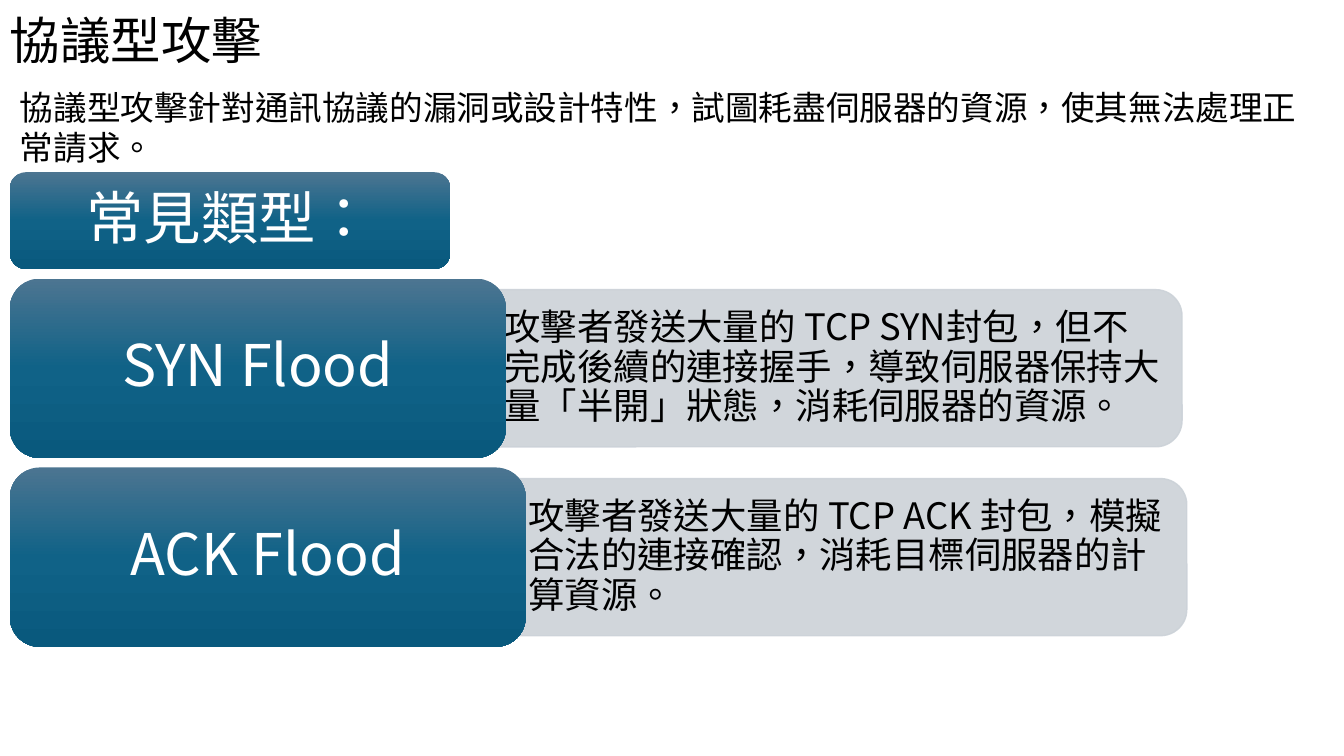
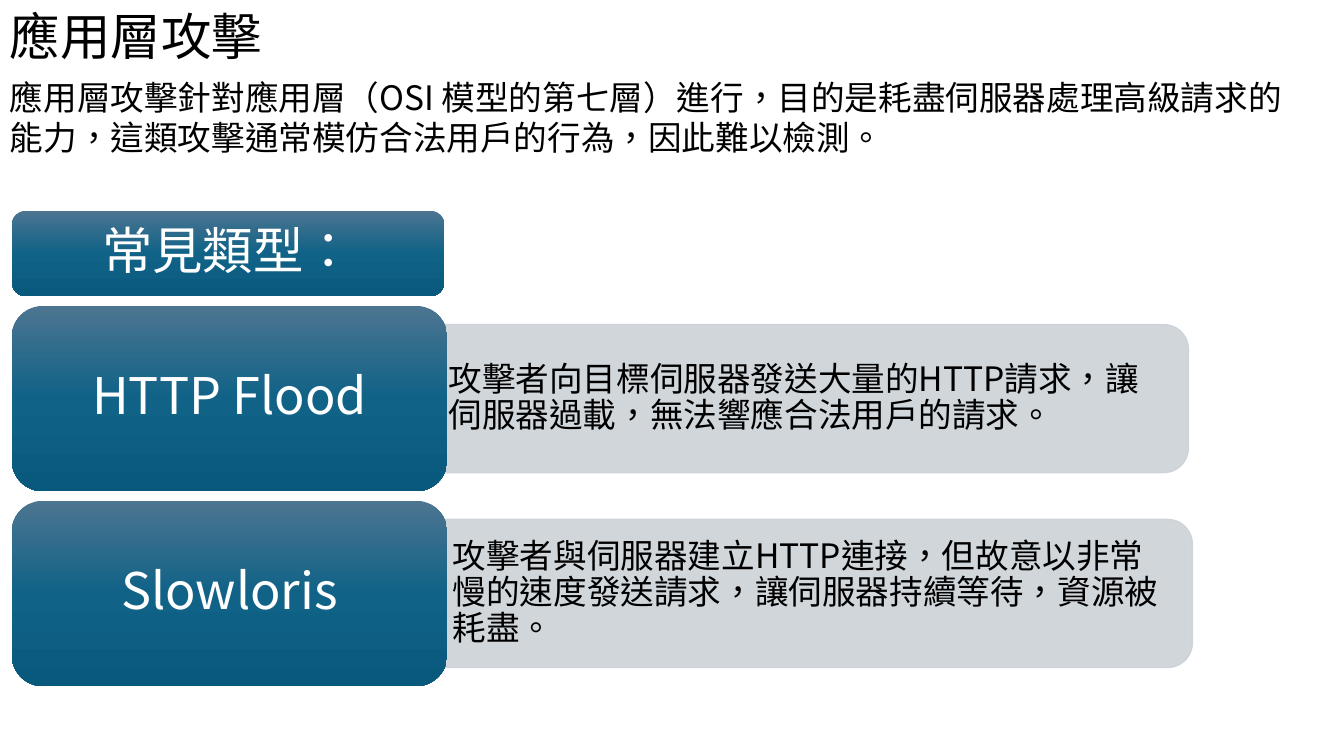
from copy import deepcopy

from lxml import etree
from pptx import Presentation
from pptx import util as u
from pptx.dml import color
from pptx.enum import lang, shapes, text
from pptx.oxml import ns

COLOURS = {
    "ink": "000000",
    "paper": "FFFFFF",
    "panel": "CCD2D8",
    "tile_top": "4C7591",
    "tile_middle": "106287",
    "tile_bottom": "09597D",
}
TILE_STOPS = [(0, "tile_top"), (0.5, "tile_middle"), (1, "tile_bottom")]
CJK_FONT = "Noto Sans CJK SC"

SLIDES = [
    {
        "title": ("協議型攻擊", (0, 0.1, 29.2, 2)),
        "intro": (
            "協議型攻擊針對通訊協議的漏洞或設計特性，試圖耗盡伺服器的資源，使其無法處理正常請求。",
            (0.25, 2.06, 33.35, 2.31),
        ),
        "left": 0.25,
        "top": 4.34,
        "heading": (11.1, 2.44, CJK_FONT),
        "tile_height": 4.52,
        "panel_height": 3.96,
        "tile_size": 41,
        "panel_size": 26,
        "rows": [
            ("SYN Flood", 12.5, 11.81, 29.79,
             "攻擊者發送大量的 TCP SYN封包，但不完成後續的連接握手，導致伺服器保持大量「半開」狀態，消耗伺服器的資源。"),
            ("ACK Flood", 13, 12.41, 29.91,
             "攻擊者發送大量的 TCP ACK 封包，模擬合法的連接確認，消耗目標伺服器的計算資源。"),
        ],
    },
    {
        "title": ("應用層攻擊", (0, 0, 29.2, 1.8)),
        "intro": (
            "應用層攻擊針對應用層（OSI 模型的第七層）進行，目的是耗盡伺服器處理高級請求的能力，這類攻擊通常模仿合法用戶的行為，因此難以檢測。",
            (0, 1.8, 33.38, 2.31),
        ),
        "left": 0.3,
        "top": 5.31,
        "heading": (10.9, 2.16, "Lato"),
        "tile_height": 4.67,
        "panel_height": 3.73,
        "tile_size": 36,
        "panel_size": 24,
        "rows": [
            ("HTTP Flood", 10.97, 10.41, 29.95,
             "攻擊者向目標伺服器發送大量的HTTP請求，讓伺服器過載，無法響應合法用戶的請求。"),
            ("Slowloris", 10.97, 10.52, 30.05,
             "攻擊者與伺服器建立HTTP連接，但故意以非常慢的速度發送請求，讓伺服器持續等待，資源被耗盡。"),
        ],
    },
]


def set_attributes(target, values):
    for name, value in values.items():
        setattr(target, name, value)


class SlideBuilder:
    gap = 0.24
    panel_alpha = 90000

    def __init__(self, deck):
        self.deck = deck
        self.page = None

    def new_page(self):
        self.page = self.deck.slides.add_slide(self.deck.slide_layouts[1])

    def colour(self, name):
        return color.RGBColor.from_string(COLOURS[name])

    def add_words(self, box, words, size, ink="ink", font=CJK_FONT, spacing=1,
                  align=text.PP_ALIGN.LEFT, anchor=text.MSO_ANCHOR.MIDDLE,
                  insets=(0.25, 0.13, 0.25, 0.13)):
        frame = box.text_frame
        set_attributes(frame, {
            "word_wrap": True,
            "auto_size": text.MSO_AUTO_SIZE.NONE,
            "vertical_anchor": anchor,
        })
        sides = ("left", "top", "right", "bottom")
        set_attributes(frame, {f"margin_{side}": u.Cm(inset)
                               for side, inset in zip(sides, insets)})
        para = frame.paragraphs[0]
        set_attributes(para, {
            "alignment": align,
            "line_spacing": spacing,
            "space_before": u.Pt(0),
            "space_after": u.Pt(0),
        })
        span = para.add_run()
        span.text = words
        set_attributes(span.font, {
            "size": u.Pt(size),
            "name": font,
            "language_id": lang.MSO_LANGUAGE_ID.TRADITIONAL_CHINESE,
        })
        span.font.color.rgb = self.colour(ink)
        east_asian = etree.SubElement(span.font._element, ns.qn("a:ea"))
        east_asian.set("typeface", font)
        return para

    def placeholder(self, index, words, place, size):
        box = self.page.placeholders[index]
        names = ("left", "top", "width", "height")
        set_attributes(box, {name: u.Cm(length) for name, length in zip(names, place)})
        para = self.add_words(box, words, size, anchor=text.MSO_ANCHOR.TOP)
        properties = para._p.get_or_add_pPr()
        properties.set("marL", "0")
        properties.set("indent", "0")
        etree.SubElement(properties, ns.qn("a:buNone"))

    def rounded_box(self, *place):
        box = self.page.shapes.add_shape(
            shapes.MSO_SHAPE.ROUNDED_RECTANGLE, *map(u.Cm, place))
        box.shadow.inherit = False
        return box

    def tile(self, words, place, size, font=CJK_FONT):
        box = self.rounded_box(*place)
        box.line.fill.background()
        box.fill.gradient()
        box.fill.gradient_angle = 270
        last_stop = box._element.spPr.findall(".//" + ns.qn("a:gs"))[-1]
        last_stop.addnext(deepcopy(last_stop))
        for stop, (position, name) in zip(box.fill.gradient_stops, TILE_STOPS):
            stop.position = position
            stop.color.rgb = self.colour(name)
        self.add_words(box, words, size, "paper", font, 0.9, text.PP_ALIGN.CENTER)

    def panel(self, words, place, size):
        box = self.rounded_box(*place)
        box.fill.solid()
        box.fill.fore_color.rgb = self.colour("panel")
        box.line.color.rgb = self.colour("panel")
        box.line.width = u.Pt(1)
        for tint in box._element.spPr.iter(ns.qn("a:srgbClr")):
            etree.SubElement(tint, ns.qn("a:alpha")).set("val", str(self.panel_alpha))
        self.add_words(box, words, size, spacing=0.9, insets=(0.71, 0, 0.25, 0))

    def attack_list(self, content):
        left, top = content["left"], content["top"]
        width, height, font = content["heading"]
        size = content["tile_size"]
        self.tile("常見類型：", (left, top, width, height), size, font)
        top += height + self.gap
        height, panel_height = content["tile_height"], content["panel_height"]
        for name, width, panel_left, panel_right, detail in content["rows"]:
            panel_top = top + (height - panel_height) / 2
            self.panel(detail, (panel_left, panel_top, panel_right - panel_left,
                                panel_height), content["panel_size"])
            self.tile(name, (left, top, width, height), size)
            top += height + self.gap


def main():
    deck = Presentation()
    deck.slide_width, deck.slide_height = u.Cm(33.87), u.Cm(19.05)
    builder = SlideBuilder(deck)
    for content in SLIDES:
        builder.new_page()
        builder.placeholder(0, *content["title"], 36)
        builder.placeholder(1, *content["intro"], 24)
        builder.attack_list(content)
    deck.save("out.pptx")


if __name__ == "__main__":
    main()
